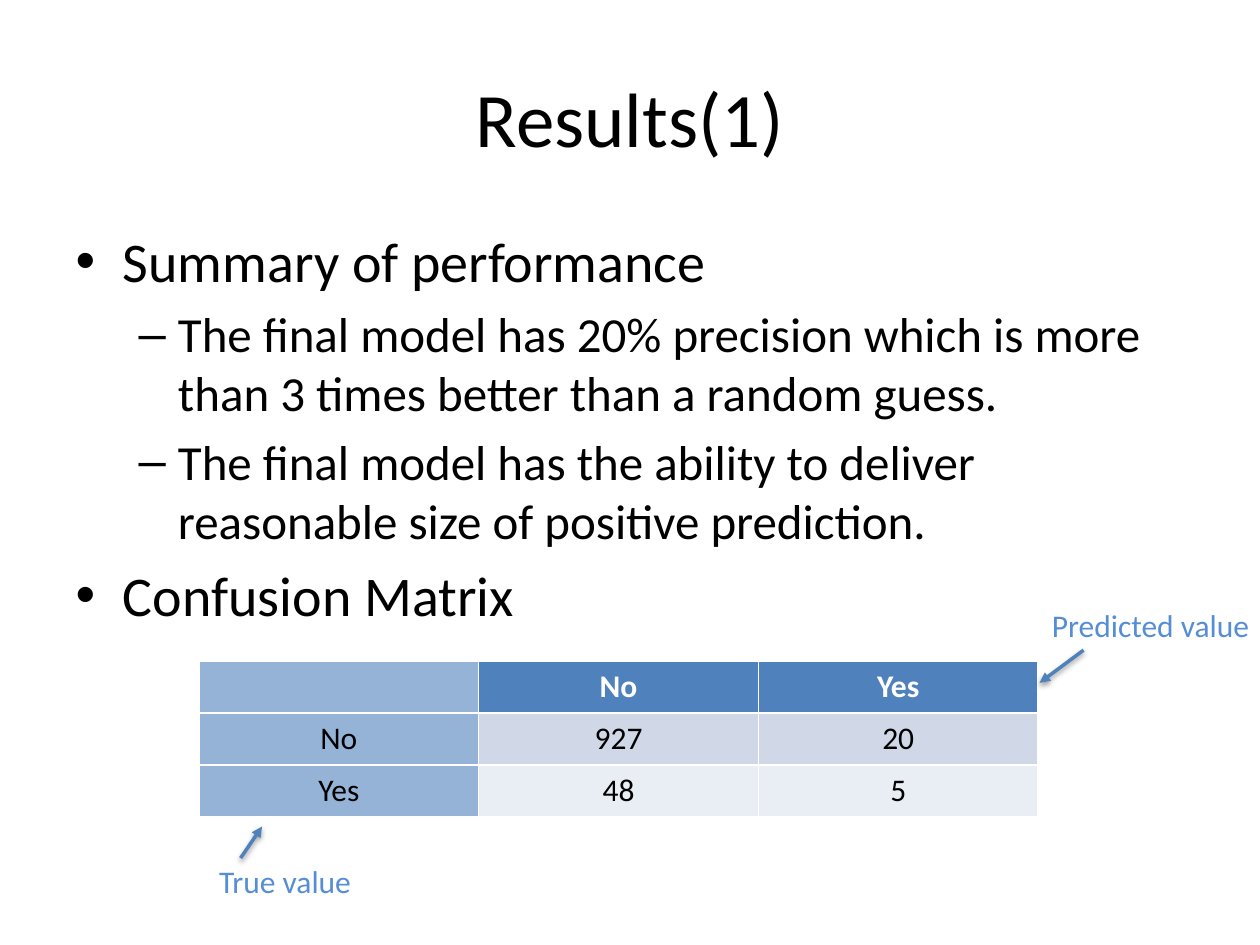
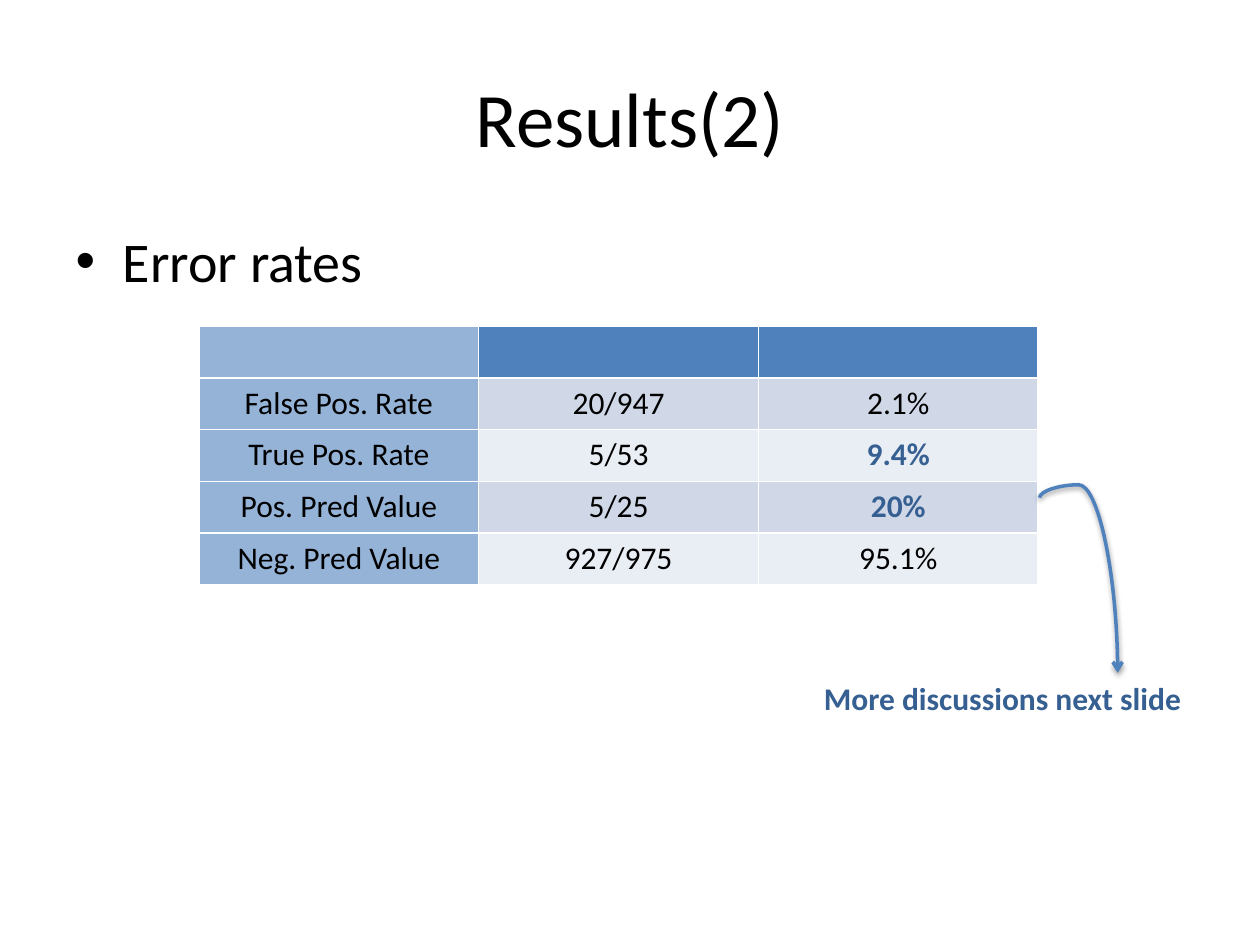
import pptx
import pptx.dml.color
import pptx.enum.shapes
import pptx.enum.text
import pptx.oxml
import pptx.oxml.ns
import pptx.util
from pptx.util import Inches

# Shared look
FONT = "Calibri"
BLACK, WHITE = "000000", "FFFFFF"
BLUE, SIDE, NOTE, DARK = "4F81BD", "95B3D7", "558ED5", "376092"
BANDS = ("D0D8E8", "E9EDF4")
SIZES = (32, 28)  # list text by level
LEFT, COL, ROW = 1.58, 2.22, 0.41  # table grid
LINE = pptx.enum.shapes.MSO_CONNECTOR


def color(code):
    return pptx.dml.color.RGBColor.from_string(code)


def style(para, size, code=BLACK, bold=False):
    font = para.font
    font.name, font.size, font.bold = FONT, pptx.util.Pt(size), bold
    font.color.rgb = color(code)


def place(shape, left, top, width, height):
    shape.left, shape.top = Inches(left), Inches(top)
    shape.width, shape.height = Inches(width), Inches(height)


def add_page(deck, title, items):
    """Add a slide with a title and a list of (level, text) items."""
    page = deck.slides.add_slide(deck.slide_layouts[1])
    head, body = page.placeholders
    place(head, 0.5, 0.3, 9, 1.25)
    head.text_frame.text = title
    style(head.text_frame.paragraphs[0], 44)
    place(body, 0.5, 1.75, 9, 4.95)
    frame = body.text_frame
    frame.text = "\n".join(text for _, text in items)
    for para, (level, _) in zip(frame.paragraphs, items):
        para.level = level
        style(para, SIZES[level])
    return page


def add_grid(page, top, rows, strong=()):
    """Add a banded table; the texts in strong stand out."""
    count = len(rows[0])
    table = page.shapes.add_table(
        len(rows), count, Inches(LEFT), Inches(top),
        Inches(COL * count), Inches(ROW * len(rows))).table
    for r, row in enumerate(rows):
        for c, text in enumerate(row):
            cell = table.cell(r, c)
            cell.fill.solid()
            fill = SIDE if c == 0 else BLUE if r == 0 else BANDS[(r - 1) % 2]
            cell.fill.fore_color.rgb = color(fill)
            cell.text = text
            para = cell.text_frame.paragraphs[0]
            para.alignment = pptx.enum.text.PP_ALIGN.CENTER
            code = WHITE if r == 0 else DARK if text in strong else BLACK
            style(para, 18, code, bold=code != BLACK)


def add_note(page, text, left, top, width, code=NOTE, bold=False):
    box = page.shapes.add_textbox(
        Inches(left), Inches(top), Inches(width), Inches(0.4))
    box.text_frame.word_wrap = False
    box.text_frame.text = text
    style(box.text_frame.paragraphs[0], 18, code, bold)


def add_arrow(page, start, end, kind=LINE.STRAIGHT, tip="triangle"):
    """Add an arrow; the theme gives it its soft shadow."""
    arrow = page.shapes.add_connector(
        kind, *(Inches(v) for v in (*start, *end)))
    arrow.line.color.rgb = color(BLUE)
    arrow.line.width = pptx.util.Pt(2)
    tail = pptx.oxml.parse_xml(
        f'<a:tailEnd {pptx.oxml.ns.nsdecls("a")} type="{tip}"/>')
    arrow.line._get_or_add_ln().append(tail)
    return arrow


def add_curve(page, start, end, bend):
    """Add a curve that leaves start upwards and drops down to end."""
    wide, tall = end[0] - start[0], end[1] - start[1]
    mid_x, mid_y = start[0] + wide / 2, start[1] + tall / 2
    # Laid on its side and mirrored, then turned upright
    curve = add_arrow(page, (mid_x + tall / 2, mid_y - wide / 2),
                      (mid_x - tall / 2, mid_y + wide / 2),
                      LINE.CURVE, "arrow")
    props = curve._element.spPr
    props.find(pptx.oxml.ns.qn("a:xfrm")).set("rot", str(270 * 60000))
    geom = props.find(pptx.oxml.ns.qn("a:prstGeom"))
    for old in list(geom):
        geom.remove(old)
    geom.append(pptx.oxml.parse_xml(
        f'<a:avLst {pptx.oxml.ns.nsdecls("a")}>'
        f'<a:gd name="adj1" fmla="val {bend}"/></a:avLst>'))


def main():
    deck = pptx.Presentation()
    deck.slide_width, deck.slide_height = Inches(10), Inches(7.5)

    # Summary and confusion matrix
    page = add_page(deck, "Results(1)", [
        (0, "Summary of performance"),
        (1, "The final model has 20% precision which is more than "
            "3 times better than a random guess."),
        (1, "The final model has the ability to deliver reasonable "
            "size of positive prediction."),
        (0, "Confusion Matrix")])
    add_grid(page, 5.25, [
        ("", "No", "Yes"),
        ("No", "927", "20"),
        ("Yes", "48", "5")])
    add_arrow(page, (8.6, 5.16), (8.25, 5.42))
    add_note(page, "Predicted value", 8.25, 4.76, 1.79)
    add_arrow(page, (1.91, 6.81), (2.08, 6.56))
    add_note(page, "True value", 1.64, 6.79, 1.26)

    # Error rates
    page = add_page(deck, "Results(2)", [(0, "Error rates")])
    add_grid(page, 2.59, [
        ("", "", ""),
        ("False Pos. Rate", "20/947", "2.1%"),
        ("True Pos. Rate", "5/53", "9.4%"),
        ("Pos. Pred Value", "5/25", "20%"),
        ("Neg. Pred Value", "927/975", "95.1%")], strong=("9.4%", "20%"))
    add_note(page, "More discussions next slide", 6.44, 5.34, 3.06, DARK, True)
    add_curve(page, (8.25, 3.95), (8.87, 5.34), bend=-7400)

    deck.save("out.pptx")


main()
